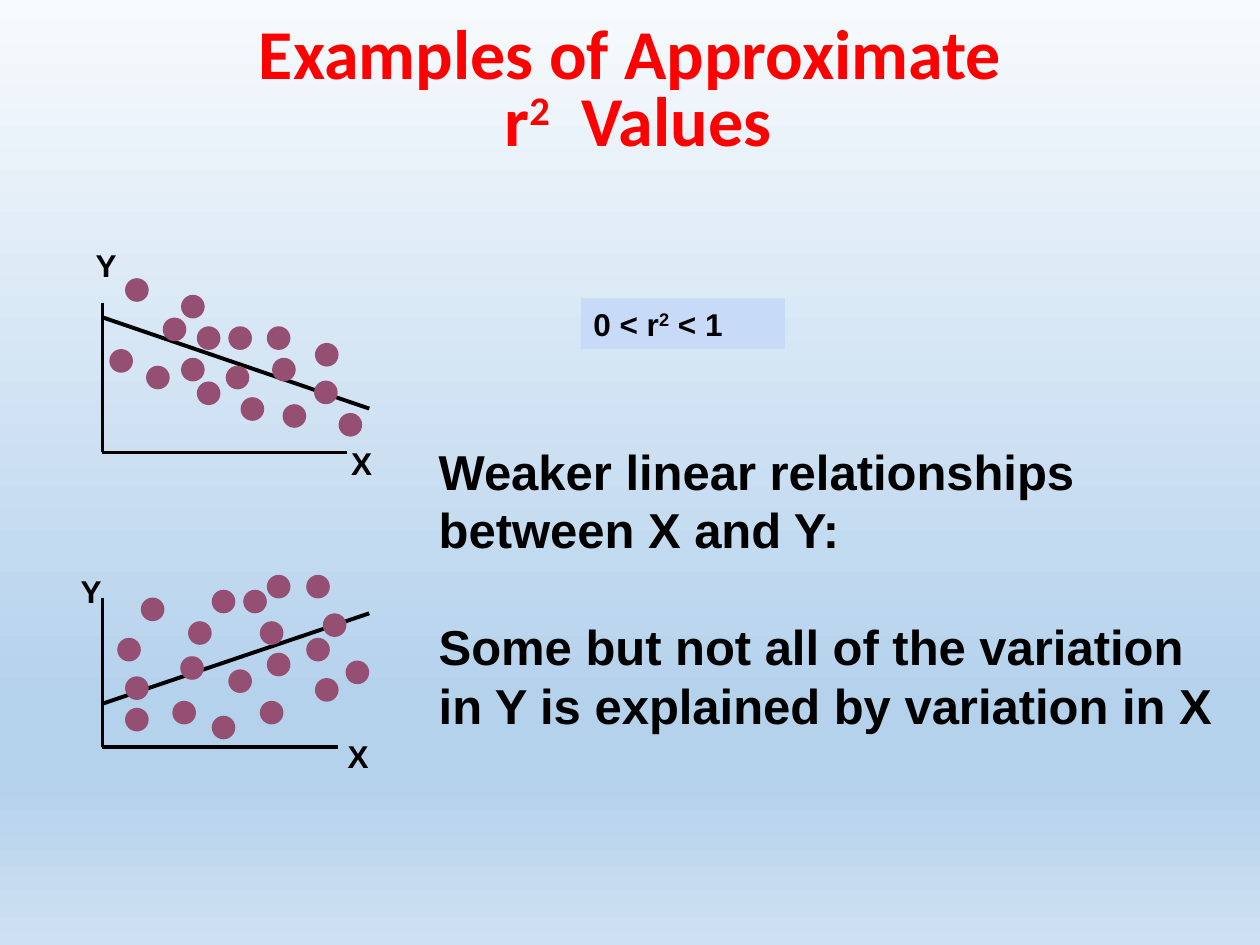
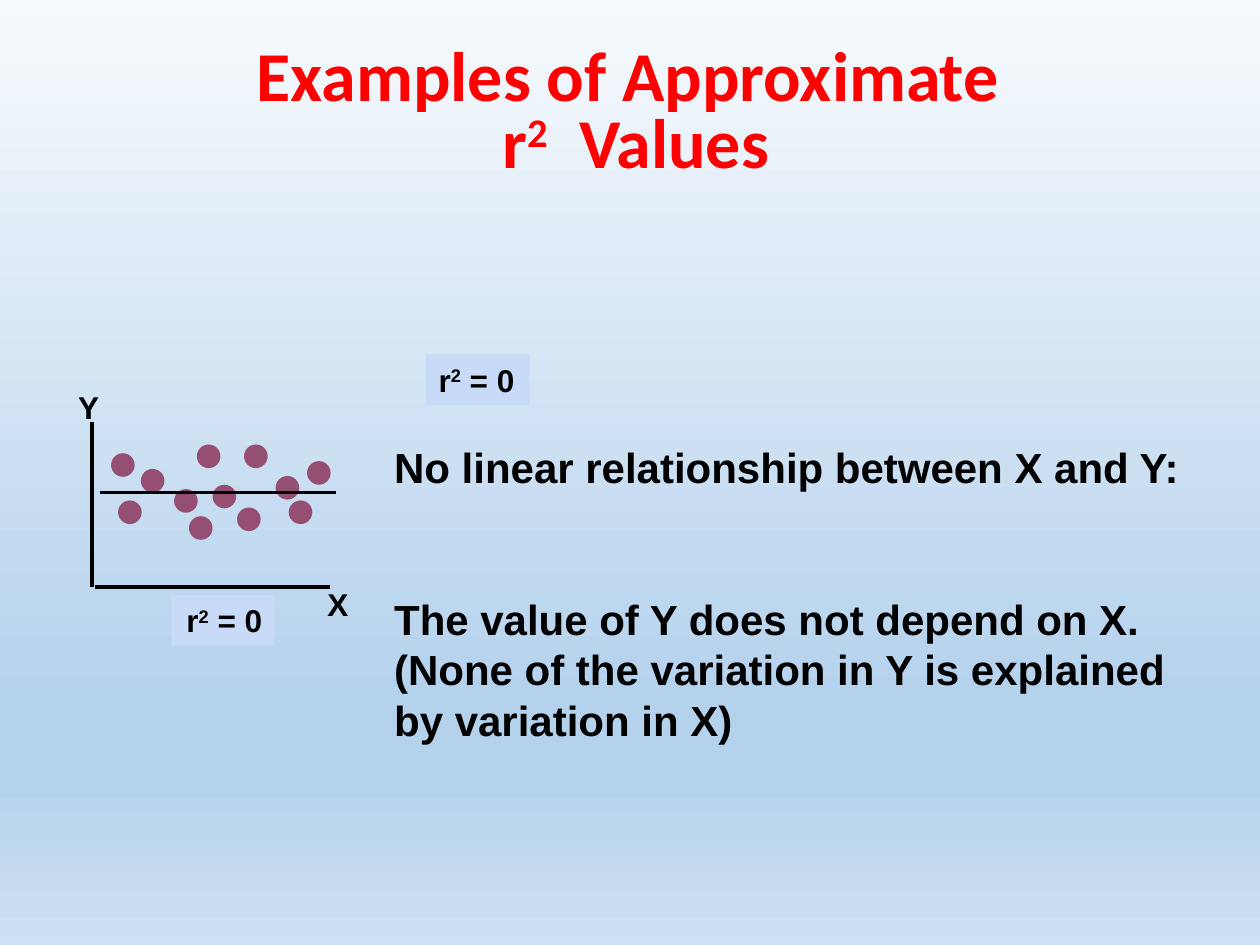
from lxml import etree
from pptx import Presentation
from pptx.dml.color import RGBColor
from pptx.enum.shapes import MSO_CONNECTOR, MSO_SHAPE
from pptx.enum.text import MSO_ANCHOR, MSO_AUTO_SIZE, PP_ALIGN
from pptx.oxml.ns import qn
from pptx.util import Pt

COLORS = {"title": "FF0000", "text": "000000", "dot": "954F72", "box": "C7DAF7"}
BACKGROUND = [(0, "F7FAFD"), (74, "B5D2EC"), (83, "B5D2EC"), (100, "CEE1F2")]
TITLE_SIZE = 40
LABEL_SIZE = 18
DOT_SIZE = 13.5
LEFT, RIGHT = PP_ALIGN.LEFT, PP_ALIGN.RIGHT

# Lines are (x1, y1, x2, y2); labels and dots are (left, top).
falling = {
    "y_axis": (58.5, 173, 58.5, 258.5), "x_axis": (58.5, 258.5, 198, 258.5),
    "fit": (59, 181.5, 211, 233.5), "fit_in_front": False,
    "labels": {"Y": (47.5, 137), "X": (193.5, 250)},
    "dots": [(62.5, 199.5), (71.5, 159), (83.5, 209), (93, 181.5), (103.5, 168.5),
             (103.5, 204.5), (112.5, 186.5), (112.5, 218), (129, 209),
             (130.5, 186.5), (137.5, 227), (152.5, 186.5), (155.5, 204.5),
             (161.5, 231), (179.5, 217.5), (180, 196), (193.5, 236)],
}
rising = {
    "y_axis": (58.5, 341.5, 58.5, 427), "x_axis": (58.5, 427, 193, 427),
    "fit": (59, 402, 211, 350.5), "fit_in_front": False,
    "labels": {"Y": (39, 323.5), "X": (191.5, 417.5)},
    "dots": [(67, 364.5), (71.5, 386.5), (71.5, 404.5), (80.5, 341.5), (98.5, 400.5),
             (103, 375), (107.5, 355), (121, 337), (121, 409), (130.5, 382.5),
             (139, 337), (148.5, 355), (148.5, 400.5), (152.5, 328.5), (152.5, 373),
             (175, 328.5), (175, 364.5), (180, 387.5), (184.5, 350.5), (197.5, 377.5)],
}
flat = {
    "y_axis": (52.5, 241, 52.5, 335.5), "x_axis": (54, 335.5, 188.5, 335.5),
    "fit": (57, 281.5, 192, 281.5), "fit_in_front": True,
    "labels": {"Y": (37.5, 218), "X": (180, 331)},
    "dots": [(63.5, 259), (67.5, 286), (80.5, 268), (99.5, 279.5), (108, 295),
             (112.5, 254), (121.5, 277), (135.5, 290), (139.5, 254), (157.5, 272),
             (165, 286), (175.5, 263.5)],
}
slides = [
    {"title_at": (58.5, 8, 612, 90.5),
     "body_at": (243.5, 248.5, 464.5, 177), "size": 28, "spacing": 33.5, "gap": 33.5,
     "body": ["Weaker linear relationships between X and Y:",
              "Some but not all of the variation in Y is explained by variation in X"],
     "plots": [falling, rising],
     "boxes": [((332, 170.5, 116.5, 29), ["0 < r", "2", " < 1"], LEFT, True)]},
    {"title_at": (91.5, 19.5, 543.5, 92),
     "body_at": (218, 248.5, 464, 152.5), "size": 24, "spacing": 28.9, "gap": 57.8,
     "body": ["No linear relationship between X and Y:",
              "The value of Y does not depend on X.  "
              "(None of the variation in Y is explained by variation in X)"],
     "plots": [flat],
     "boxes": [((243.5, 202.5, 59, 29), ["r", "2", " = 0"], LEFT, False),
               ((98, 340, 59, 29), ["r", "2", " = 0"], RIGHT, False)]},
]


def add_runs(p, pieces, size, font="Arial", color="text"):
    """Add bold runs; every second piece is a superscript."""
    for i, piece in enumerate(pieces):
        r = p.add_run()
        r.text = piece
        r.font.name, r.font.size, r.font.bold = font, Pt(size), True
        r.font.color.rgb = RGBColor.from_string(COLORS[color])
        if i % 2:
            r.font._element.set("baseline", "30000")


def add_line(s, ends, width):
    line = s.shapes.add_connector(MSO_CONNECTOR.STRAIGHT, *map(Pt, ends))
    line.line.color.rgb = RGBColor.from_string(COLORS["text"])
    line.line.width = Pt(width)
    etree.SubElement(line._element.spPr, qn("a:effectLst"))


prs = Presentation()
prs.slide_width, prs.slide_height = Pt(720), Pt(540)

# Shared background and title size
master = prs.slide_master
fill = master.background.fill
fill.gradient()
fill.gradient_angle = 270
stops = master.element.find(".//" + qn("a:gsLst"))
for stop in list(stops):
    stops.remove(stop)
for percent, color in BACKGROUND:
    stop = etree.SubElement(stops, qn("a:gs"), pos=str(percent * 1000))
    etree.SubElement(stop, qn("a:srgbClr"), val=color)
title_style = master.element.find(".//" + qn("p:titleStyle"))
title_style.find(".//" + qn("a:defRPr")).set("sz", str(TITLE_SIZE * 100))

for data in slides:
    s = prs.slides.add_slide(prs.slide_layouts[1])
    title, body = s.shapes.title, s.placeholders[1]
    for sp, at in ((title, data["title_at"]), (body, data["body_at"])):
        sp.left, sp.top, sp.width, sp.height = map(Pt, at)
        sp.text_frame.auto_size = MSO_AUTO_SIZE.NONE
        sp.text_frame.word_wrap = True

    tf = title.text_frame
    tf.vertical_anchor = MSO_ANCHOR.MIDDLE
    tf.margin_left = tf.margin_right = Pt(5)
    tf.margin_top = tf.margin_bottom = Pt(3)
    p = tf.paragraphs[0]
    p.alignment, p.line_spacing = PP_ALIGN.CENTER, 0.8
    add_runs(p, ["Examples of Approximate "], TITLE_SIZE, "Calibri", "title")
    p.add_line_break()
    add_runs(p, ["r", "2", "  Values"], TITLE_SIZE, "Calibri", "title")

    tf = body.text_frame
    for i, text in enumerate(data["body"]):
        p = tf.add_paragraph() if i else tf.paragraphs[0]
        p.line_spacing = Pt(data["spacing"])
        p.space_before = Pt(data["gap"] if i else 0)
        pPr = p._p.get_or_add_pPr()
        pPr.set("marL", "0")
        pPr.set("indent", "0")
        etree.SubElement(pPr, qn("a:buNone"))
        add_runs(p, [text], data["size"])

    for plot in data["plots"]:
        add_line(s, plot["y_axis"], 2)
        add_line(s, plot["x_axis"], 2)
        if not plot["fit_in_front"]:
            add_line(s, plot["fit"], 2.25)
        for x, y in plot["dots"]:
            dot = s.shapes.add_shape(MSO_SHAPE.OVAL, Pt(x), Pt(y), Pt(DOT_SIZE), Pt(DOT_SIZE))
            dot.shadow.inherit = False
            dot.fill.solid()
            dot.fill.fore_color.rgb = RGBColor.from_string(COLORS["dot"])
            dot.line.fill.background()
        if plot["fit_in_front"]:
            add_line(s, plot["fit"], 2)
        for name, (x, y) in plot["labels"].items():
            label = s.shapes.add_textbox(Pt(x), Pt(y), Pt(26.5), Pt(29))
            label.text_frame.word_wrap = False
            add_runs(label.text_frame.paragraphs[0], [name], LABEL_SIZE)

    for at, pieces, align, wrap in data["boxes"]:
        box = s.shapes.add_shape(MSO_SHAPE.RECTANGLE, *map(Pt, at))
        box.shadow.inherit = False
        box.fill.solid()
        box.fill.fore_color.rgb = RGBColor.from_string(COLORS["box"])
        box.line.fill.background()
        tf = box.text_frame
        tf.word_wrap, tf.vertical_anchor = wrap, MSO_ANCHOR.TOP
        tf.paragraphs[0].alignment = align
        add_runs(tf.paragraphs[0], pieces, LABEL_SIZE)

prs.save("out.pptx")
